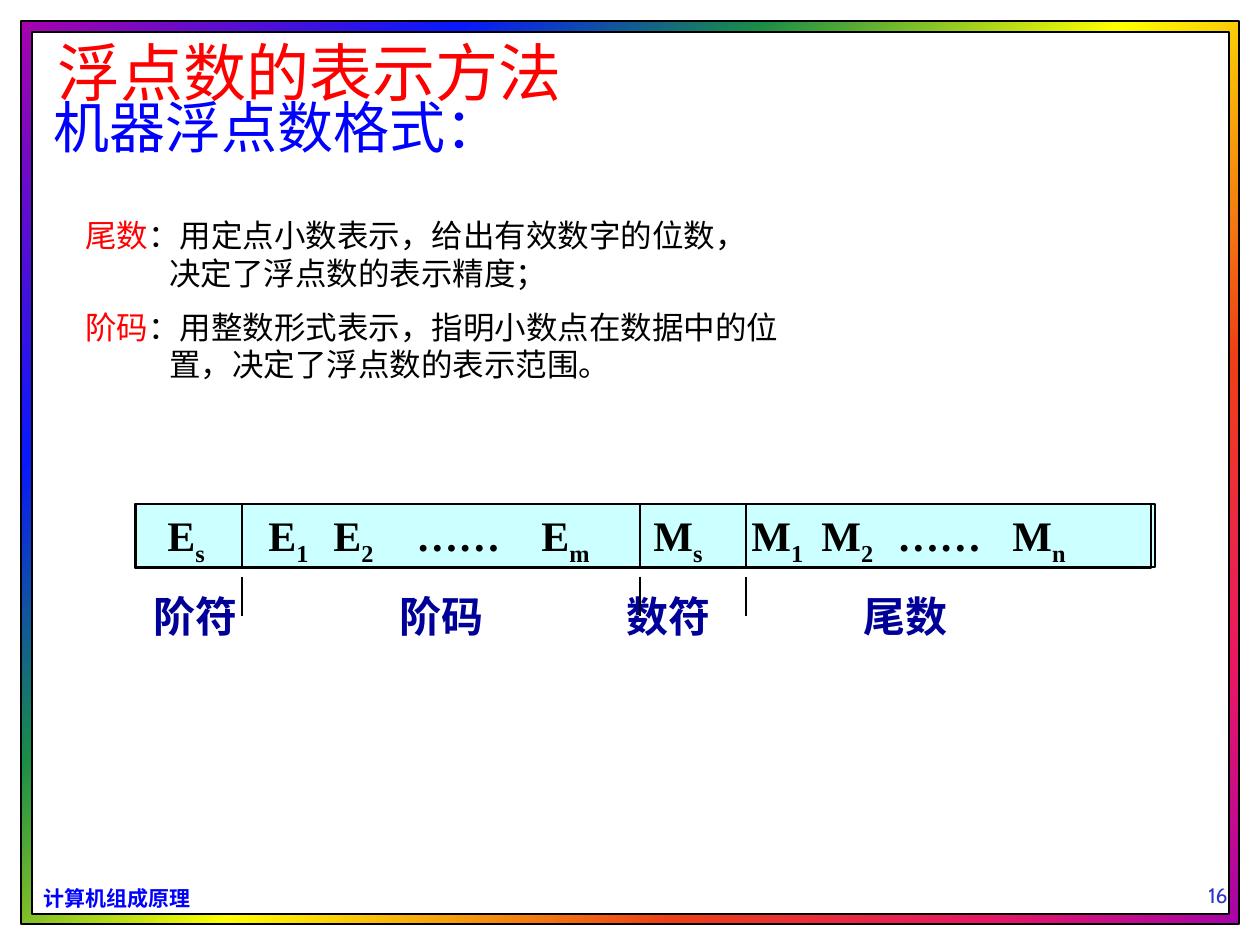
"""Build the slide on the machine format of floating-point numbers."""
from dataclasses import dataclass, field

from lxml import etree
from pptx import Presentation
from pptx import util as u
from pptx.dml.color import RGBColor
from pptx.enum import lang, shapes, text
from pptx.oxml import ns

PX_PER_INCH = 126
COLORS = {"black": "000000", "white": "FFFFFF", "red": "FF0000", "blue": "0000FF",
          "navy": "000099", "indigo": "3333CC", "cyan": "CCFFFF"}
RAINBOW = ((0, "A603AB"), (21, "0819FB"), (35, "1A8D48"), (52, "FFFF00"),
           (73, "EE3F17"), (88, "E81766"), (100, "A603AB"))
SERIF, SANS, NUMERIC = "Times New Roman", "Noto Sans CJK SC", "Cabin"
SEPARATORS = (242, 640, 746)
SEPARATOR_SPANS = ((504, 567), (577, 616))


@dataclass(frozen=True)
class Span:
    text: str
    color: str = "black"
    lowered: bool = False


@dataclass(frozen=True)
class Panel:
    area: tuple[int, int, int, int]
    fill: str | None


@dataclass(frozen=True)
class TextBlock:
    area: tuple[int, int, int, int]
    paragraphs: tuple[tuple[Span, ...], ...]
    size: int
    font: str = SERIF
    bold: bool = False
    frame: dict = field(default_factory=dict)
    layout: dict = field(default_factory=dict)
    gap: int = 0
    hanging: tuple[int, int] | None = None
    tabs: tuple[int, ...] = ()


def px(length: int) -> u.Emu:
    """Turn pixels into EMU."""
    return u.Emu(round(length * u.Inches(1) / PX_PER_INCH))


def rgb(name: str) -> RGBColor:
    """Look up a named colour."""
    return RGBColor.from_string(COLORS[name])


def apply(target, values: dict) -> None:
    """Set every given attribute on the target."""
    for name, value in values.items():
        setattr(target, name, value)


def add_panel(page, panel: Panel):
    """Draw an outlined rectangle, unfilled when no colour is given."""
    box = page.shapes.add_shape(shapes.MSO_SHAPE.RECTANGLE, *map(px, panel.area))
    box.shadow.inherit = False
    if panel.fill:
        box.fill.solid()
        box.fill.fore_color.rgb = rgb(panel.fill)
    else:
        box.fill.background()
    box.line.color.rgb = rgb("black")
    box.line.width = u.Pt(0.75)
    return box


def paint_rainbow(box) -> None:
    """Fill a shape with the diagonal rainbow gradient."""
    box.fill.gradient()
    box.fill.gradient_angle = 315
    stops = box.fill._fill._gradFill.find(ns.qn("a:gsLst"))
    for stop in list(stops):
        stops.remove(stop)
    for percent, color in RAINBOW:
        stop = etree.SubElement(stops, ns.qn("a:gs"), pos=str(percent * 1000))
        etree.SubElement(stop, ns.qn("a:srgbClr"), val=color)


def add_separator(page, x: int, top: int, bottom: int) -> None:
    """Draw a thin vertical line."""
    line = page.shapes.add_connector(shapes.MSO_CONNECTOR.STRAIGHT,
                                     px(x), px(top), px(x), px(bottom))
    line.line.color.rgb = rgb("black")
    line.line.width = u.Pt(0.75)
    etree.SubElement(line._element.spPr, ns.qn("a:effectLst"))


def add_spans(para, block: TextBlock, spans: tuple[Span, ...]) -> None:
    """Write the spans of one paragraph."""
    for part in spans:
        if part.text == "\n":
            para.add_line_break()
            continue
        span = para.add_run()
        span.text = part.text
        apply(span.font, {"size": u.Pt(block.size), "name": block.font,
                          "bold": block.bold,
                          "language_id": lang.MSO_LANGUAGE_ID.SIMPLIFIED_CHINESE})
        span.font.color.rgb = rgb(part.color)
        if part.lowered:
            span._r.get_or_add_rPr().set("baseline", "-25000")


def add_text(page, block: TextBlock) -> None:
    """Draw a text box with its paragraphs, indents and tab stops."""
    box = page.shapes.add_textbox(*map(px, block.area))
    apply(box.text_frame, {"word_wrap": True} | block.frame)
    for index, spans in enumerate(block.paragraphs):
        para = box.text_frame.add_paragraph() if index else box.text_frame.paragraphs[0]
        properties = para._p.get_or_add_pPr()
        if block.hanging:
            margin, indent = block.hanging
            properties.set("marL", str(px(margin)))
            properties.set("indent", str(px(indent)))
        if block.tabs:
            stops = etree.SubElement(properties, ns.qn("a:tabLst"))
            for stop in block.tabs:
                etree.SubElement(stops, ns.qn("a:tab"), pos=str(px(stop)), algn="l")
        apply(para, block.layout)
        if index and block.gap:
            para.space_before = u.Pt(block.gap)
        add_spans(para, block, spans)


def register_spans() -> tuple[Span, ...]:
    """Give the tabbed bit names of the number register."""
    names = (("E", "s"), ("E", "1"), ("E", "2"), ("……", ""), ("E", "m"),
             ("M", "s"), ("M", "1"), ("M", "2"), ("……", ""), ("M", "n"))
    spans = []
    for base, index in names:
        spans.append(Span("\t" + base))
        if index:
            spans.append(Span(index, lowered=True))
    return tuple(spans)


FRAME_TEXTS = (
    TextBlock((31, 879, 173, 38), ((Span("计算机组成原理", "blue"),),), 12, SANS, True,
              {"word_wrap": False}),
    TextBlock((1103, 851, 230, 63), ((Span("16", "indigo"),),), 12, NUMERIC,
              frame={"vertical_anchor": text.MSO_ANCHOR.BOTTOM},
              layout={"alignment": text.PP_ALIGN.CENTER}),
    TextBlock((44, 210, 1090, 237), (
        (Span("尾数", "red"), Span("：用定点小数表示，给出有效数字的位数，"),
         Span("\n"), Span("决定了浮点数的表示精度；")),
        (Span("阶码", "red"), Span("：用整数形式表示，指明小数点在数据中的位"),
         Span("\n"), Span("置，决定了浮点数的表示范围。"))),
        18, gap=9, hanging=(113, -84)),
    TextBlock((41, 86, 475, 79), ((Span("机器浮点数格式：", "blue"),),), 32,
              frame={"word_wrap": False}),
    TextBlock((32, 42, 779, 68), ((Span("浮点数的表示方法", "red"),),), 36, SANS,
              frame={"margin_left": px(26), "margin_top": 0, "margin_bottom": 0},
              layout={"line_spacing": 0.9}),
)
FIELD_LABELS = TextBlock((141, 584, 867, 63),
                         ((Span("阶符\t阶码\t数符\t尾数", "navy"),),), 24, bold=True,
                         tabs=(246, 473, 710))
REGISTER = TextBlock((135, 504, 1016, 64), (register_spans(),), 24, bold=True,
                     frame={"margin_top": px(6), "margin_bottom": 0},
                     tabs=(20, 121, 186, 269, 394, 506, 604, 674, 750, 865))


def main() -> None:
    """Assemble and save the slide."""
    deck = Presentation()
    apply(deck, {"slide_width": u.Inches(10), "slide_height": u.Inches(7.5)})
    page = deck.slides.add_slide(deck.slide_layouts[6])
    paint_rainbow(add_panel(page, Panel((21, 21, 1218, 903), None)))
    add_panel(page, Panel((32, 32, 1197, 882), "white"))
    for block in FRAME_TEXTS:
        add_text(page, block)
    add_panel(page, Panel((136, 504, 1019, 63), "cyan"))
    add_panel(page, Panel(REGISTER.area, None))
    for block in (FIELD_LABELS, REGISTER):
        add_text(page, block)
    for top, bottom in SEPARATOR_SPANS:
        for x in SEPARATORS:
            add_separator(page, x, top, bottom)
    deck.save("out.pptx")


if __name__ == "__main__":
    main()
